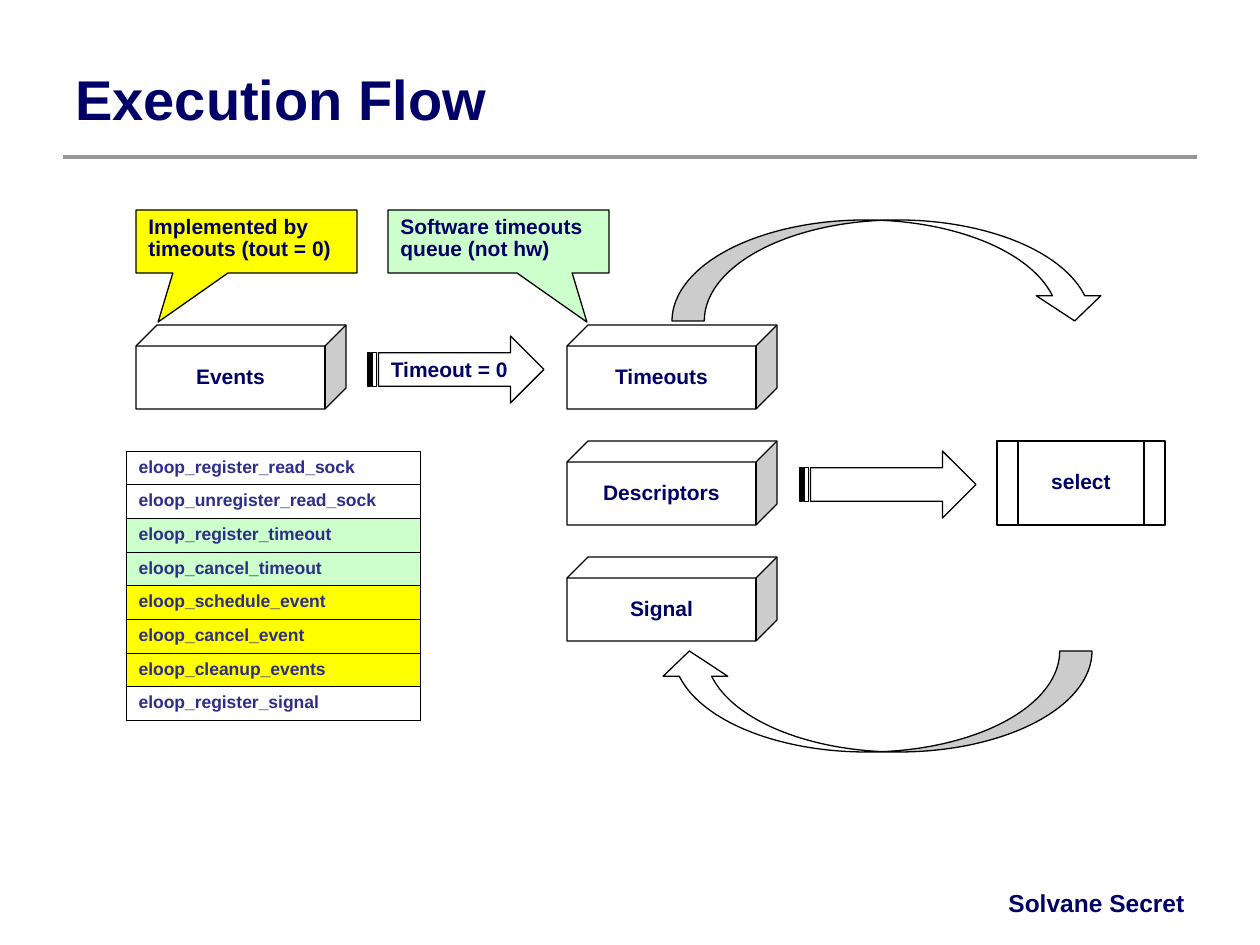
from lxml import etree
from pptx import Presentation
from pptx.dml.color import RGBColor
from pptx.enum.shapes import MSO_CONNECTOR, MSO_SHAPE
from pptx.enum.text import MSO_ANCHOR, PP_ALIGN
from pptx.oxml.ns import qn
from pptx.util import Emu, Pt

SCALE = 914400 / 126
COLORS = {"navy": "000066", "indigo": "2D2D8A", "black": "000000", "white": "FFFFFF",
          "yellow": "FFFF00", "green": "CCFFCC", "gray": "969696"}
LEFT, CENTER, RIGHT = PP_ALIGN.LEFT, PP_ALIGN.CENTER, PP_ALIGN.RIGHT
TOP, MIDDLE = MSO_ANCHOR.TOP, MSO_ANCHOR.MIDDLE
CUBE, CALLOUT = MSO_SHAPE.CUBE, MSO_SHAPE.RECTANGULAR_CALLOUT
STRIPED, CURVED = MSO_SHAPE.STRIPED_RIGHT_ARROW, MSO_SHAPE.CURVED_DOWN_ARROW
PROCESS = MSO_SHAPE.FLOWCHART_PREDEFINED_PROCESS

FUNCTIONS = [
    ("eloop_register_read_sock", None), ("eloop_unregister_read_sock", None),
    ("eloop_register_timeout", "green"), ("eloop_cancel_timeout", "green"),
    ("eloop_schedule_event", "yellow"), ("eloop_cancel_event", "yellow"),
    ("eloop_cleanup_events", "yellow"), ("eloop_register_signal", None),
]


def px(value):
    """Turn pixels into EMU."""
    return Emu(round(value * SCALE))


def rgb(name):
    """Look up a colour by name."""
    return RGBColor.from_string(COLORS[name])


def write(frame, text, size, align=LEFT, color="navy", spacing=None):
    """Put one bold paragraph into a text frame."""
    frame.word_wrap = True
    frame.text = text
    para = frame.paragraphs[0]
    para.alignment = align
    para.line_spacing = spacing
    for span in para.runs:
        span.font.name = "Arial"
        span.font.size = Pt(size)
        span.font.bold = True
        span.font.color.rgb = rgb(color)


def add_label(page, box, text, size, align=LEFT, anchor=TOP):
    """Place a text box."""
    frame = page.shapes.add_textbox(*map(px, box)).text_frame
    write(frame, text, size, align)
    frame.vertical_anchor = anchor


def add_figure(page, kind, box, text="", fill="white", align=CENTER, anchor=MIDDLE, adjust=()):
    """Place an outlined preset shape with an optional label."""
    figure = page.shapes.add_shape(kind, *map(px, box))
    figure.shadow.inherit = False
    figure.fill.solid()
    figure.fill.fore_color.rgb = rgb(fill)
    figure.line.color.rgb = rgb("black")
    figure.line.width = Pt(0.75)
    for index, value in enumerate(adjust):
        figure.adjustments[index] = value
    if text:
        write(figure.text_frame, text, 12, align, spacing=0.9)
        figure.text_frame.vertical_anchor = anchor
    return figure


def add_frame(page, box):
    """Place the title, the rule under it and the footer."""
    left, top, width, height = box
    add_label(page, (left, top + 38, width, 120), "Execution Flow", 32, anchor=MIDDLE)
    rule = page.shapes.add_connector(MSO_CONNECTOR.STRAIGHT, px(left), px(top + 157),
                                     px(left + width), px(top + 157))
    rule.line.color.rgb = rgb("gray")
    rule.line.width = Pt(2.25)
    etree.SubElement(rule._element.spPr, qn("a:effectLst"))
    add_label(page, (left + width - 399, top + height - 63, 399, 42), "Solvane Secret", 14, RIGHT)


def add_border(cell):
    """Draw a thin black line on each side of a cell."""
    properties = cell._tc.get_or_add_tcPr()
    for side in ("a:lnL", "a:lnR", "a:lnT", "a:lnB"):
        edge = etree.SubElement(properties, qn(side), w=str(Pt(0.45)))
        fill = etree.SubElement(edge, qn("a:solidFill"))
        etree.SubElement(fill, qn("a:srgbClr"), val=COLORS["black"])


def add_function_table(page, box):
    """Place the list of event loop functions."""
    table = page.shapes.add_table(len(FUNCTIONS), 1, *map(px, box)).table
    table.first_row = table.horz_banding = False
    for index, (name, fill) in enumerate(FUNCTIONS):
        table.rows[index].height = px(box[3] / len(FUNCTIONS))
        cell = table.cell(index, 0)
        write(cell.text_frame, name, 10, color="indigo")
        add_border(cell)
        if fill:
            cell.fill.solid()
            cell.fill.fore_color.rgb = rgb(fill)
        else:
            cell.fill.background()


def add_flow(page, box):
    """Place the event sources, the select step and the arrows between them."""
    left, top = box[:2]
    cubes = [("Events", 0, 0), ("Timeouts", 431, 0), ("Descriptors", 431, 1), ("Signal", 431, 2)]
    for text, across, row in cubes:
        add_figure(page, CUBE, (left + across, top + 115 + row * 116, 210, 84), text,
                   adjust=(0.25,))
    add_figure(page, PROCESS, (left + 861, top + 231, 168, 84), "select")
    for across, down, text in ((232, 126, "Timeout = 0"), (664, 241, "")):
        add_figure(page, STRIPED, (left + across, top + down, 176, 67), text,
                   align=LEFT, anchor=TOP, adjust=(0.5, 0.5))
    for across, down, turn in ((536, 10, 0), (521, 441, 180)):
        arrow = add_figure(page, CURVED, (left + across, top + down, 435, 101),
                           adjust=(0.32, 0.64, 0.25))
        arrow.rotation = turn
    callouts = [(0, "Implemented by timeouts (tout = 0)", "yellow", -0.4),
                (252, "Software timeouts queue (not hw)", "green", 0.4)]
    for across, text, fill, tip in callouts:
        add_figure(page, CALLOUT, (left + across, top, 221, 63), text, fill, LEFT, TOP,
                   (tip, 1.28))


def main():
    """Build the deck."""
    deck = Presentation()
    deck.slide_width, deck.slide_height = px(1260), px(945)
    page = deck.slides.add_slide(deck.slide_layouts[6])
    add_frame(page, (63, 0, 1134, 945))
    add_flow(page, (136, 210, 1030, 542))
    add_function_table(page, (126, 451, 294, 269))
    deck.save("out.pptx")


if __name__ == "__main__":
    main()
